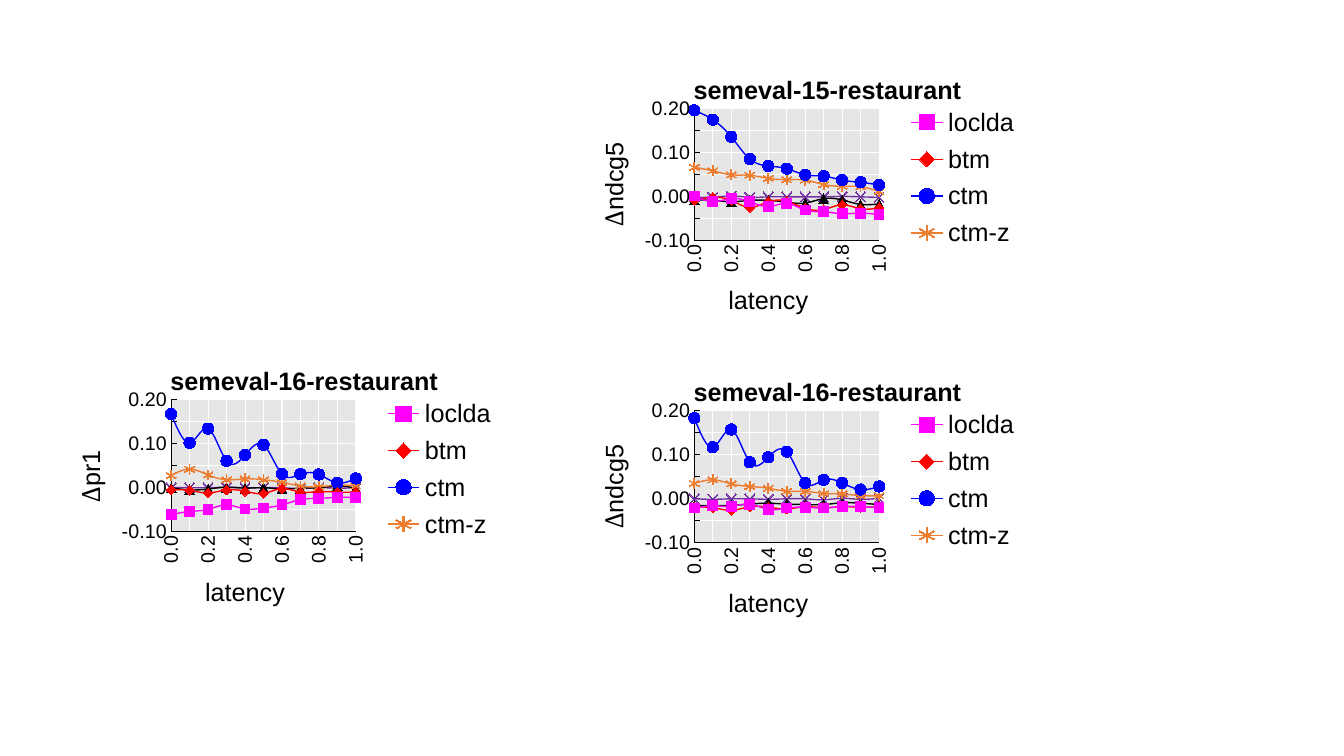
import pptx
import pptx.chart.data
import pptx.dml.color
import pptx.enum.chart
import pptx.oxml
import pptx.oxml.ns
import pptx.util

RGB = pptx.dml.color.RGBColor
ENUM = pptx.enum.chart
MARK = ENUM.XL_MARKER_STYLE
BLACK = RGB(0x00, 0x00, 0x00)
WHITE = RGB(0xFF, 0xFF, 0xFF)
GREY = RGB(0xE7, 0xE6, 0xE6)
PINK = RGB(0xFF, 0x00, 0xFF)
RED = RGB(0xFF, 0x00, 0x00)
BLUE = RGB(0x00, 0x00, 0xFF)
ORANGE = RGB(0xED, 0x7D, 0x31)
PURPLE = RGB(0x70, 0x30, 0xA0)

WIDE, HIGH = 13.33, 7.5
UPWARD = "-5400000"

# Method name, colour, marker, marker size, marker fill;
# a method without a name stays out of the legend
STYLES = [
    ("loclda", PINK, MARK.SQUARE, 7, GREY),
    ("btm", RED, MARK.DIAMOND, 7, GREY),
    ("ctm", BLUE, MARK.CIRCLE, 8, GREY),
    ("ctm-z", ORANGE, MARK.STAR, 7, None),
    ("", BLACK, MARK.TRIANGLE, 7, GREY),
    ("", PURPLE, MARK.X, 7, None),
]

# Left and top in percent of the slide, title, measure, percent down of
# the measure, and one row of thousandths per method
CHARTS = [
    (43.06, 4.8, "semeval-15-restaurant", "ndcg5", 34, [
        (1, -12, -5, -12, -23, -16, -31, -35, -39, -38, -41),
        (-9, -2, -9, -25, -12, -11, -27, -30, -19, -28, -26),
        (195, 174, 135, 85, 69, 63, 49, 46, 37, 32, 26),
        (66, 58, 49, 48, 41, 38, 37, 27, 23, 22, 11),
        (-8, -9, -12, -9, -9, -13, -15, -5, -8, -18, -17),
        (-1, -2, 1, -2, -1, -1, -1, -1, 0, -1, -2)]),
    (4.13, 43.33, "semeval-16-restaurant", "pr1", 39.5, [
        (-61, -54, -49, -39, -48, -46, -39, -27, -24, -22, -22),
        (-5, -6, -12, -5, -8, -13, -2, -10, -9, -10, -10),
        (167, 102, 134, 61, 74, 97, 31, 31, 30, 11, 21),
        (28, 42, 29, 18, 20, 18, 12, 4, 2, 6, 4),
        (0, -5, -3, 1, -1, 0, -3, -1, 0, 4, -1),
        (0, 0, 0, 1, 0, 0, 0, -2, 0, -1, 0)]),
    (43.06, 44.8, "semeval-16-restaurant", "ndcg5", 34, [
        (-21, -16, -17, -12, -24, -21, -19, -21, -17, -18, -20),
        (-19, -20, -26, -18, -19, -23, -18, -20, -18, -19, -18),
        (183, 117, 157, 83, 94, 107, 36, 43, 36, 21, 28),
        (35, 43, 34, 28, 24, 17, 17, 12, 11, 7, 7),
        (-16, -15, -15, -12, -10, -12, -13, -13, -9, -10, -13),
        (0, -1, 0, 0, -1, 0, 0, -2, 1, -1, 1)]),
]


def across(part):
    """Turn a percent of the slide width into a length."""
    return pptx.util.Inches(WIDE * part / 100)


def down(part):
    """Turn a percent of the slide height into a length."""
    return pptx.util.Inches(HIGH * part / 100)


def node(inner):
    """Make a chart XML element from its markup."""
    spaces = pptx.oxml.ns.nsdecls("c", "a")
    return pptx.oxml.parse_xml(inner.replace(">", f" {spaces}>", 1))


def clear(part, tag):
    """Remove the children of a chart part that have the tag."""
    for old in part.findall(pptx.oxml.ns.qn(tag)):
        part.remove(old)


def style(font, size=18, bold=False, face="Arial", color=BLACK):
    """Set size, weight, face and colour of a font."""
    font.size, font.bold, font.name = pptx.util.Pt(size), bold, face
    font.color.rgb = color


def write(frame, text, **form):
    """Add a run of text to the first paragraph with the given format."""
    run = frame.paragraphs[0].add_run()
    run.text = text
    style(run.font, **form)


def place(part, left, top, wide=None, high=None):
    """Place a chart part by percents of the chart area."""
    clear(part, "c:layout")
    inner = ""
    if part.tag.endswith("plotArea"):
        inner = '<c:layoutTarget val="inner"/>'
    inner += '<c:xMode val="edge"/><c:yMode val="edge"/>'
    for key, val in zip("xywh", (left, top, wide, high)):
        if val is not None:
            inner += f'<c:{key} val="{val / 100:.3f}"/>'
    box = node(f"<c:layout><c:manualLayout>{inner}</c:manualLayout></c:layout>")
    heads = part.xpath("c:tx | c:legendPos | c:legendEntry")
    if heads:
        heads[-1].addnext(box)
    else:
        part.insert(0, box)


def turn(part):
    """Turn the text of a chart part to read upward."""
    body = part.xpath(".//a:bodyPr")[0]
    body.set("rot", UPWARD)
    body.set("vert", "horz")


def paint(color):
    """Make shape properties with a plain fill and no line."""
    return node(f'<c:spPr><a:solidFill><a:srgbClr val="{color}"/></a:solidFill>'
                '<a:ln><a:noFill/></a:ln></c:spPr>')


def scale(axis, low, high, step, form, tick):
    """Set range, ticks, labels, line and grid of an axis."""
    axis.minimum_scale, axis.maximum_scale = low, high
    axis.major_unit = step
    axis.major_tick_mark = tick
    axis.minor_tick_mark = ENUM.XL_TICK_MARK.NONE
    axis.crosses = ENUM.XL_AXIS_CROSSES.MINIMUM
    axis.tick_label_position = ENUM.XL_TICK_LABEL_POSITION.NEXT_TO_AXIS
    axis.tick_labels.number_format = form
    axis.tick_labels.number_format_is_linked = False
    style(axis.tick_labels.font, size=14)
    axis.has_major_gridlines = True
    for line, color in ((axis.format.line, BLACK),
                        (axis.major_gridlines.format.line, WHITE)):
        line.color.rgb = color
        line.width = pptx.util.Pt(0.75)


def dress(row, color, mark, size, fill):
    """Set the smooth line and the marker of one method."""
    row.format.line.color.rgb = color
    row.format.line.width = pptx.util.Pt(1)
    row.marker.style, row.marker.size = mark, size
    look = row.marker.format
    look.line.color.rgb = color
    if fill is None:
        look.fill.background()
    else:
        look.fill.solid()
        look.fill.fore_color.rgb = fill
    clear(row._element, "c:smooth")
    row._element.append(node('<c:smooth val="1"></c:smooth>'))


def label(chart):
    """Add the legend with only the named methods in it."""
    chart.has_legend = True
    legend = chart.legend
    legend.position = ENUM.XL_LEGEND_POSITION.RIGHT
    legend.include_in_layout = False
    style(legend.font)
    part = legend._element
    for at, (name, *_) in reversed(list(enumerate(STYLES))):
        if not name:
            part.xpath("c:legendPos")[0].addnext(node(
                f'<c:legendEntry><c:idx val="{at}"/><c:delete val="1"/></c:legendEntry>'))
    place(part, 68.5, 21, 25, 51.5)


def draw(slide, left, top, title, measure, drop, rows):
    """Add one smooth scatter chart of gain against latency."""
    data = pptx.chart.data.XyChartData()
    for (name, *_), vals in zip(STYLES, rows):
        line = data.add_series(name)
        for at, val in enumerate(vals):
            line.add_data_point(at / 10, val / 1000)
    chart = slide.shapes.add_chart(
        ENUM.XL_CHART_TYPE.XY_SCATTER_SMOOTH, across(left), down(top),
        across(35.26), down(40), data).chart
    style(chart.font)
    chart.plots[0].vary_by_categories = False
    for row, (_, *look) in zip(chart.plots[0].series, STYLES):
        dress(row, *look)

    chart.has_title = True
    write(chart.chart_title.text_frame, title, bold=True)
    place(chart.chart_title._element, 23.3, 10.7)

    delay, gain = chart.category_axis, chart.value_axis
    scale(delay, 0, 1, 0.1, "#,##0.0", ENUM.XL_TICK_MARK.NONE)
    turn(delay._element.xpath("c:txPr")[0])
    write(delay.axis_title.text_frame, "latency")
    place(delay.axis_title._element, 30.6, 80.3)

    scale(gain, -0.1, 0.2, 0.05, "0.00", ENUM.XL_TICK_MARK.INSIDE)
    write(gain.axis_title.text_frame, "Δ", face="Cambria")
    write(gain.axis_title.text_frame, measure)
    turn(gain.axis_title._element)
    place(gain.axis_title._element, 3.5, drop)

    label(chart)
    space = chart._chartSpace
    plot = space.xpath("c:chart/c:plotArea")[0]
    place(plot, 24.4, 23.8, 39, 43.8)
    plot.append(paint(GREY))
    space.xpath("c:txPr")[0].addprevious(paint(WHITE))


def main():
    """Build the slide with its three charts."""
    deck = pptx.Presentation()
    deck.slide_width, deck.slide_height = across(100), down(100)
    slide = deck.slides.add_slide(deck.slide_layouts[6])
    for chart in CHARTS:
        draw(slide, *chart)
    deck.save("out.pptx")


main()
